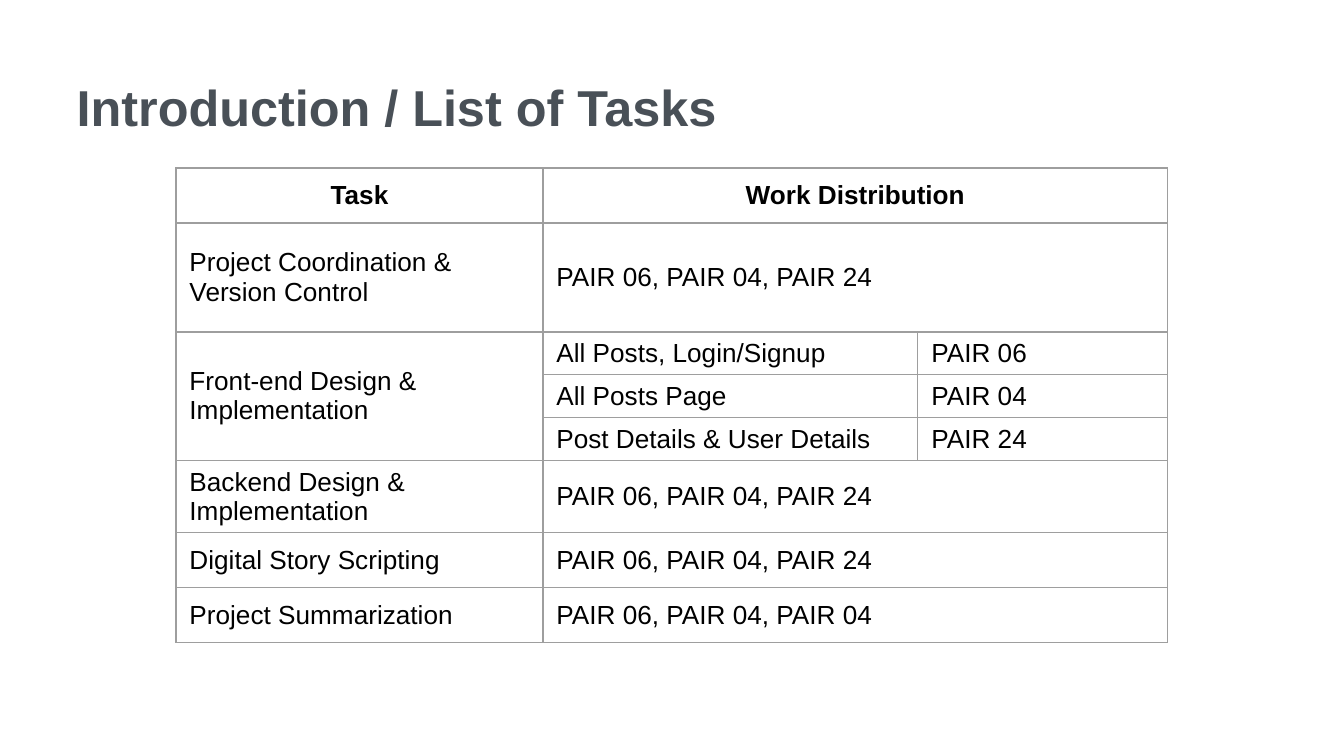
from dataclasses import dataclass

from lxml import etree
from pptx import Presentation
from pptx.dml.color import RGBColor
from pptx.enum.text import MSO_ANCHOR, PP_ALIGN
from pptx.oxml.ns import qn
from pptx.util import Inches, Pt

MIDDLE = MSO_ANCHOR.MIDDLE
LEFT, CENTER = PP_ALIGN.LEFT, PP_ALIGN.CENTER
TITLE_ONLY = 5


@dataclass(frozen=True)
class Theme:
    font: str = "Arial"
    title_color: str = "495057"
    text_color: str = "000000"
    border_color: str = "9E9E9E"
    title_size: float = 27
    table_size: float = 14
    border_width: float = 0.75


THEME = Theme()

COL_WIDTHS = [2.73, 2.79, 1.86]
ROW_HEIGHTS = [0.41, 0.81, 0.19, 0.19, 0.19, 0.41, 0.41, 0.41]
ALL_PAIRS = "PAIR 06, PAIR 04, PAIR 24"
# Two entries: the second spans the last two columns.
# None: the cell belongs to the task above.
TASK_ROWS = [
    ("Task", "Work Distribution"),
    ("Project Coordination & Version Control", ALL_PAIRS),
    ("Front-end Design & Implementation", "All Posts, Login/Signup", "PAIR 06"),
    (None, "All Posts Page", "PAIR 04"),
    (None, "Post Details & User Details", "PAIR 24"),
    ("Backend Design & Implementation", ALL_PAIRS),
    ("Digital Story Scripting", ALL_PAIRS),
    ("Project Summarization", "PAIR 06, PAIR 04, PAIR 04"),
]


def format_text(tf, size, color, bold, align):
    for p in tf.paragraphs:
        p.alignment = align
        for r in p.runs:
            r.font.name = THEME.font
            r.font.size = Pt(size)
            r.font.bold = bold
            r.font.color.rgb = RGBColor.from_string(color)


def set_borders(cell):
    tcPr = cell._tc.get_or_add_tcPr()
    for i, side in enumerate(("lnL", "lnR", "lnT", "lnB")):
        ln = etree.Element(qn(f"a:{side}"), w=str(Pt(THEME.border_width)))
        fill = etree.SubElement(ln, qn("a:solidFill"))
        etree.SubElement(fill, qn("a:srgbClr"), val=THEME.border_color)
        tcPr.insert(i, ln)


def add_title(s, text, left, top, width, height):
    sp = s.shapes.title
    sp.left, sp.top = Inches(left), Inches(top)
    sp.width, sp.height = Inches(width), Inches(height)
    tf = sp.text_frame
    tf.text = text
    tf.word_wrap = True
    tf.vertical_anchor = MIDDLE
    tf.margin_left = tf.margin_right = Inches(0.07)
    tf.margin_top = tf.margin_bottom = Inches(0.04)
    format_text(tf, THEME.title_size, THEME.title_color, True, LEFT)


def merge_cells(table):
    task_cell = None
    for i, row in enumerate(TASK_ROWS):
        if len(row) == 2:
            table.cell(i, 1).merge(table.cell(i, 2))
        if row[0] is not None:
            task_cell = table.cell(i, 0)
        elif i + 1 == len(TASK_ROWS) or TASK_ROWS[i + 1][0] is not None:
            task_cell.merge(table.cell(i, 0))


def add_task_table(s, left, top, width, height):
    frame = s.shapes.add_table(len(TASK_ROWS), len(COL_WIDTHS), Inches(left),
                               Inches(top), Inches(width), Inches(height))
    table = frame.table
    table.first_row = table.horz_banding = False
    for column, w in zip(table.columns, COL_WIDTHS):
        column.width = Inches(w)
    for row, h in zip(table.rows, ROW_HEIGHTS):
        row.height = Inches(h)
    frame.height = Inches(height)

    for cell in table.iter_cells():
        cell.fill.background()
        cell.vertical_anchor = MIDDLE
        set_borders(cell)
    for i, row in enumerate(TASK_ROWS):
        header = i == 0
        for j, text in enumerate(row):
            if text is not None:
                tf = table.cell(i, j).text_frame
                tf.text = text
                format_text(tf, THEME.table_size, THEME.text_color, header,
                            CENTER if header else LEFT)
    merge_cells(table)


def main():
    prs = Presentation()
    prs.slide_width = Inches(10)
    prs.slide_height = prs.slide_width * 9 // 16
    s = prs.slides.add_slide(prs.slide_layouts[TITLE_ONLY])
    add_title(s, "Introduction / List of Tasks", 0.5, 0.5, 9, 0.58)
    add_task_table(s, 1.31, 1.25, sum(COL_WIDTHS), 3.59)
    prs.save("out.pptx")


if __name__ == "__main__":
    main()
